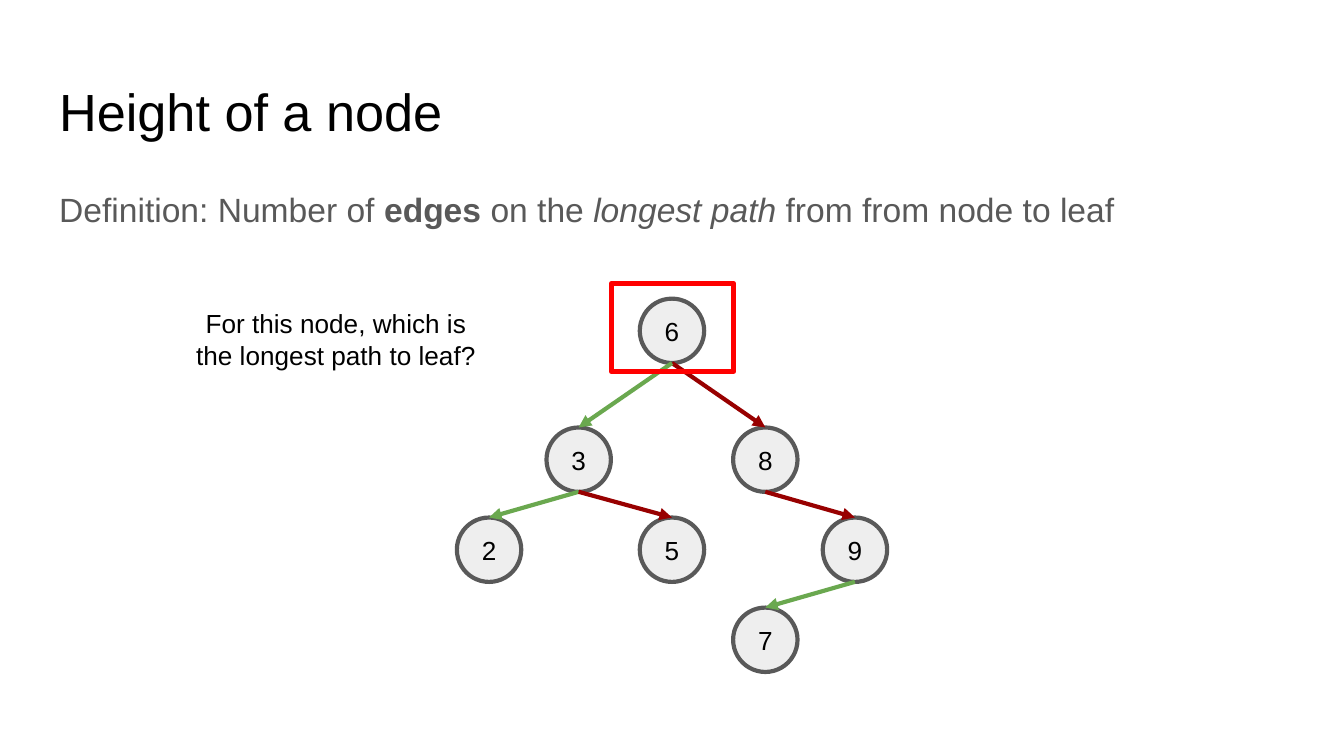
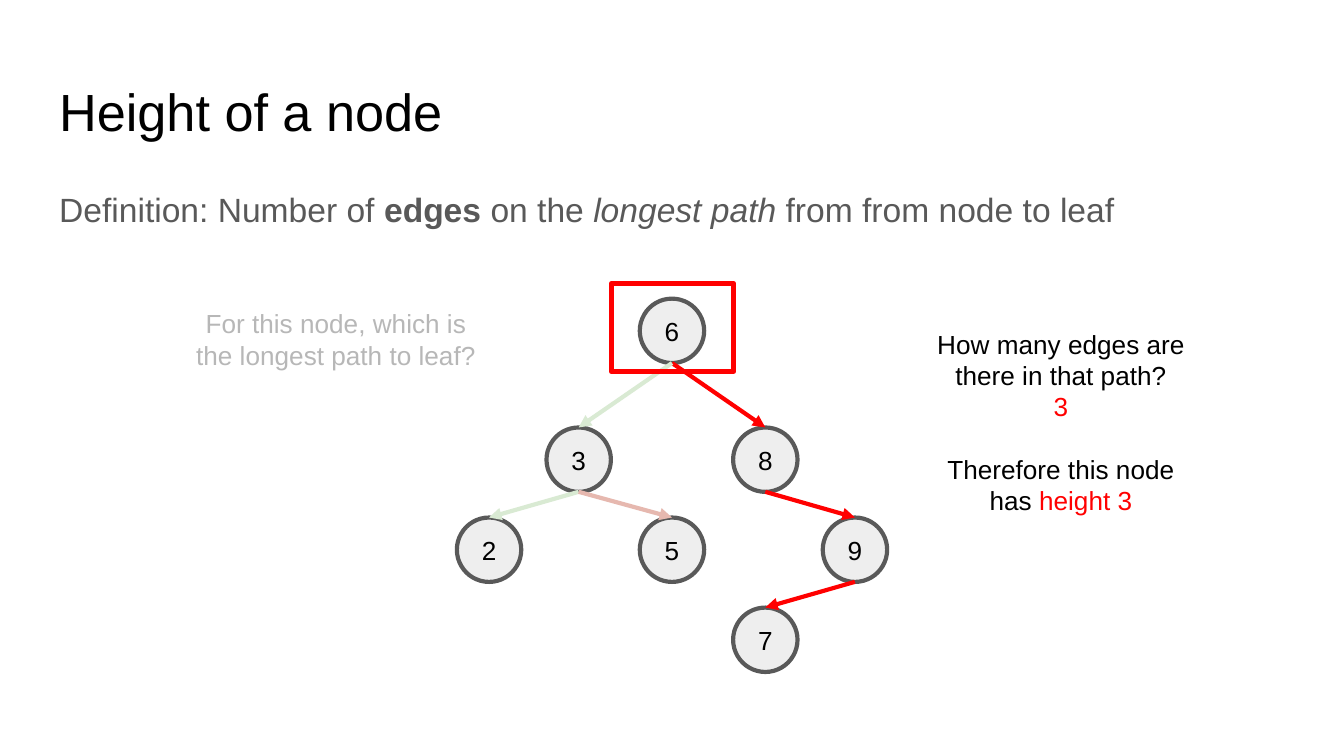
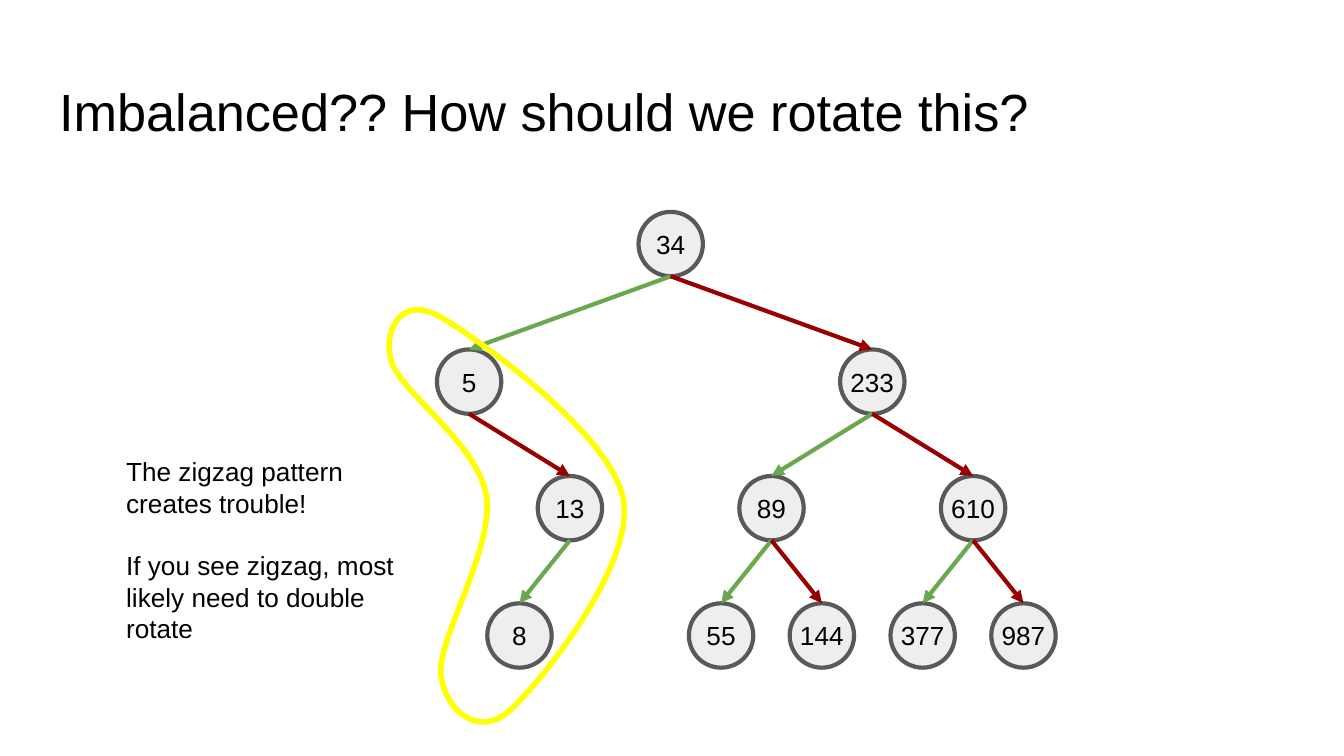
from dataclasses import dataclass
from typing import NamedTuple, Optional

from lxml.etree import SubElement
from pptx import Presentation
from pptx.dml.color import RGBColor
from pptx.enum.shapes import MSO_CONNECTOR as Connector, MSO_SHAPE as Preset
from pptx.enum.text import MSO_ANCHOR as Anchor, MSO_AUTO_SIZE as AutoSize, PP_ALIGN as Align
from pptx.oxml.ns import qn
from pptx.util import Pt

FONT = "Arial"
BLACK, GRAY, FADED, NODE_FILL = "000000", "595959", "B7B7B7", "EEEEEE"
GREEN, DARK_RED, PALE_GREEN, PALE_RED = "6AA84F", "980000", "D9EAD3", "E6B8AF"
RED, YELLOW = "FF0000", "FFFF00"
INSET = 7.2
DIAMETER = 34.5
BLANK_LINE = 16.7
TITLE_AND_BODY, TITLE_ONLY = 1, 5


class Box(NamedTuple):
    left: float
    top: float
    width: float
    height: float


class Run(NamedTuple):
    text: str
    color: Optional[str] = None
    bold: Optional[bool] = None
    italic: Optional[bool] = None


@dataclass
class TextLine:
    runs: list[Run]
    size: float = 14
    color: str = BLACK
    align: Align = Align.LEFT
    before: float = 0
    after: float = 0
    spacing: float = 1.0


class Node(NamedTuple):
    center: float
    top: float


@dataclass
class Tree:
    nodes: dict[int, Node]
    edges: list[tuple[int, int]]


TITLE_BOX = Box(24.5, 35.3, 671, 45.4)
BODY_BOX = Box(24.5, 90.7, 671, 37.4)
QUESTION_BOX = Box(96.5, 157.7, 167, 47.5)
ANSWER_BOX = Box(487.4, 168.5, 162, 105)
ZIGZAG_BOX = Box(60.5, 236.9, 173.5, 109.5)
ROOT_FRAME = Box(327.5, 152, 65.5, 47)

DEFINITION = [
    Run("Definition: Number of "),
    Run("edges", bold=True),
    Run(" on the "),
    Run("longest path", italic=True),
    Run(" from from node to leaf"),
]

HEIGHT_TREE = Tree(
    {
        2: Node(262, 277.25),
        5: Node(360, 277.25),
        3: Node(310, 229),
        8: Node(410, 229),
        9: Node(458, 277.25),
        6: Node(360, 160),
        7: Node(410, 325.5),
    },
    [(6, 8), (3, 2), (3, 5), (8, 9), (6, 3), (9, 7)],
)
LONGEST_PATH = [(6, 8), (8, 9), (9, 7)]

ROOT_CENTER, STEP = 359.3, 27
LEVELS = [
    (323.2, {8: -3, 55: 1, 144: 3, 377: 5, 987: 7}),
    (255, {13: -2, 89: 2, 610: 6}),
    (187.2, {5: -4, 233: 4}),
    (113.5, {34: 0}),
]
ZIGZAG_TREE = Tree(
    {
        key: Node(ROOT_CENTER + STEP * steps, top)
        for top, level in LEVELS
        for key, steps in level.items()
    },
    [
        (34, 5), (13, 8), (89, 55), (610, 377), (233, 89),
        (34, 233), (5, 13), (233, 610), (89, 144), (610, 987),
    ],
)

LASSO_START = (209.5, 193)
LASSO_CURVES = [
    ((213, 208.8), (256.3, 237.6), (260.6, 265.7)),
    ((265, 293.8), (234, 342.7), (236.2, 361.4)),
    ((238.3, 380.9), (257, 396), (273.6, 380.2)),
    ((290.2, 365), (339.8, 303.1), (334.1, 267.8)),
    ((327.6, 232.6), (257, 182.2), (236.2, 169.9)),
    ((215.3, 157.7), (205.2, 176.4), LASSO_START),
]
CURVE_STEPS = 16


def rgb(color: str) -> RGBColor:
    return RGBColor.from_string(color)


def points(box: Box) -> list[Pt]:
    return [Pt(value) for value in box]


def write(frame, lines: list[TextLine], inset: float = INSET, anchor: Anchor = Anchor.TOP) -> None:
    frame.word_wrap = True
    frame.auto_size = AutoSize.NONE
    frame.vertical_anchor = anchor
    frame.margin_left = frame.margin_right = Pt(inset)
    frame.margin_top = frame.margin_bottom = Pt(inset)
    for index, line in enumerate(lines):
        paragraph = frame.add_paragraph() if index else frame.paragraphs[0]
        paragraph.alignment = line.align
        paragraph.space_before = Pt(line.before)
        paragraph.space_after = Pt(line.after)
        paragraph.line_spacing = line.spacing
        properties = paragraph._p.get_or_add_pPr()
        properties.set("marL", "0")
        properties.set("indent", "0")
        SubElement(properties, qn("a:buNone"))
        font = paragraph.font
        font.name = FONT
        font.size = Pt(line.size)
        font.color.rgb = rgb(line.color)
        for part in line.runs:
            run = paragraph.add_run()
            run.text = part.text
            if part.color:
                run.font.color.rgb = rgb(part.color)
            if part.bold:
                run.font.bold = True
            if part.italic:
                run.font.italic = True


def fill_placeholder(placeholder, box: Box, line: TextLine) -> None:
    placeholder.left, placeholder.top, placeholder.width, placeholder.height = points(box)
    write(placeholder.text_frame, [line])


def add_slide(presentation, title: str, body: Optional[list[Run]] = None):
    layout = presentation.slide_layouts[TITLE_AND_BODY if body else TITLE_ONLY]
    slide = presentation.slides.add_slide(layout)
    fill_placeholder(slide.shapes.title, TITLE_BOX, TextLine([Run(title)], size=28))
    if body:
        definition = TextLine(body, size=18, color=GRAY, after=16, spacing=1.15)
        fill_placeholder(slide.placeholders[1], BODY_BOX, definition)
    return slide


def add_text(slide, box: Box, lines: list[TextLine]) -> None:
    write(slide.shapes.add_textbox(*points(box)).text_frame, lines)


def outline(shape, color: str) -> None:
    shape.shadow.inherit = False
    shape.fill.background()
    shape.line.color.rgb = rgb(color)
    shape.line.width = Pt(3)


def add_node(shapes, key: int, node: Node) -> None:
    box = Box(node.center - DIAMETER / 2, node.top, DIAMETER, DIAMETER)
    shape = shapes.add_shape(Preset.OVAL, *points(box))
    shape.shadow.inherit = False
    shape.fill.solid()
    shape.fill.fore_color.rgb = rgb(NODE_FILL)
    shape.line.color.rgb = rgb(GRAY)
    shape.line.width = Pt(2.25)
    label = TextLine([Run(str(key))], align=Align.CENTER)
    write(shape.text_frame, [label], inset=0, anchor=Anchor.MIDDLE)


def add_edge(shapes, parent: Node, child: Node, color: str) -> None:
    ends = Box(parent.center, parent.top + DIAMETER, child.center, child.top)
    connector = shapes.add_connector(Connector.STRAIGHT, *points(ends))
    connector.line.color.rgb = rgb(color)
    connector.line.width = Pt(2.25)
    SubElement(connector.line._get_or_add_ln(), qn("a:tailEnd"), type="triangle")
    SubElement(connector._element.spPr, qn("a:effectLst"))


def add_tree(
    shapes,
    tree: Tree,
    left_color: str = GREEN,
    right_color: str = DARK_RED,
    marked: tuple | list = (),
) -> None:
    for key, node in tree.nodes.items():
        add_node(shapes, key, node)
    for edge in tree.edges:
        parent, child = (tree.nodes[key] for key in edge)
        side_color = left_color if child.center < parent.center else right_color
        add_edge(shapes, parent, child, RED if edge in marked else side_color)


def add_question(slide, color: str) -> None:
    question = Run("For this node, which is the longest path to leaf?")
    add_text(slide, QUESTION_BOX, [TextLine([question], color=color, align=Align.CENTER)])
    outline(slide.shapes.add_shape(Preset.RECTANGLE, *points(ROOT_FRAME)), RED)


def add_lasso(slide) -> None:
    vertices = []
    start = LASSO_START
    for first, second, end in LASSO_CURVES:
        for step in range(1, CURVE_STEPS + 1):
            t = step / CURVE_STEPS
            u = 1 - t
            vertices.append(tuple(
                Pt(u**3 * a + 3 * u * u * t * b + 3 * u * t * t * c + t**3 * d)
                for a, b, c, d in zip(start, first, second, end)
            ))
        start = end
    builder = slide.shapes.build_freeform(*(Pt(value) for value in LASSO_START))
    builder.add_line_segments(vertices, close=True)
    outline(builder.convert_to_shape(), YELLOW)


def build_question_slide(presentation) -> None:
    slide = add_slide(presentation, "Height of a node", DEFINITION)
    add_tree(slide.shapes.add_group_shape().shapes, HEIGHT_TREE)
    add_question(slide, BLACK)


def build_answer_slide(presentation) -> None:
    slide = add_slide(presentation, "Height of a node", DEFINITION)
    add_tree(slide.shapes, HEIGHT_TREE, PALE_GREEN, PALE_RED, LONGEST_PATH)
    add_question(slide, FADED)
    conclusion = [Run("Therefore this node has "), Run("height 3", RED)]
    add_text(slide, ANSWER_BOX, [
        TextLine([Run("How many edges are there in that path?")], align=Align.CENTER),
        TextLine([Run("3")], color=RED, align=Align.CENTER),
        TextLine(conclusion, align=Align.CENTER, before=BLANK_LINE),
    ])


def build_zigzag_slide(presentation) -> None:
    slide = add_slide(presentation, "Imbalanced?? How should we rotate this?")
    add_tree(slide.shapes, ZIGZAG_TREE)
    add_lasso(slide)
    add_text(slide, ZIGZAG_BOX, [
        TextLine([Run("The zigzag pattern creates trouble!")]),
        TextLine([Run("If you see zigzag, most likely need to double rotate")], before=BLANK_LINE),
    ])


def main() -> None:
    presentation = Presentation()
    presentation.slide_width = Pt(720)
    presentation.slide_height = Pt(405)
    build_question_slide(presentation)
    build_answer_slide(presentation)
    build_zigzag_slide(presentation)
    presentation.save("out.pptx")


if __name__ == "__main__":
    main()
